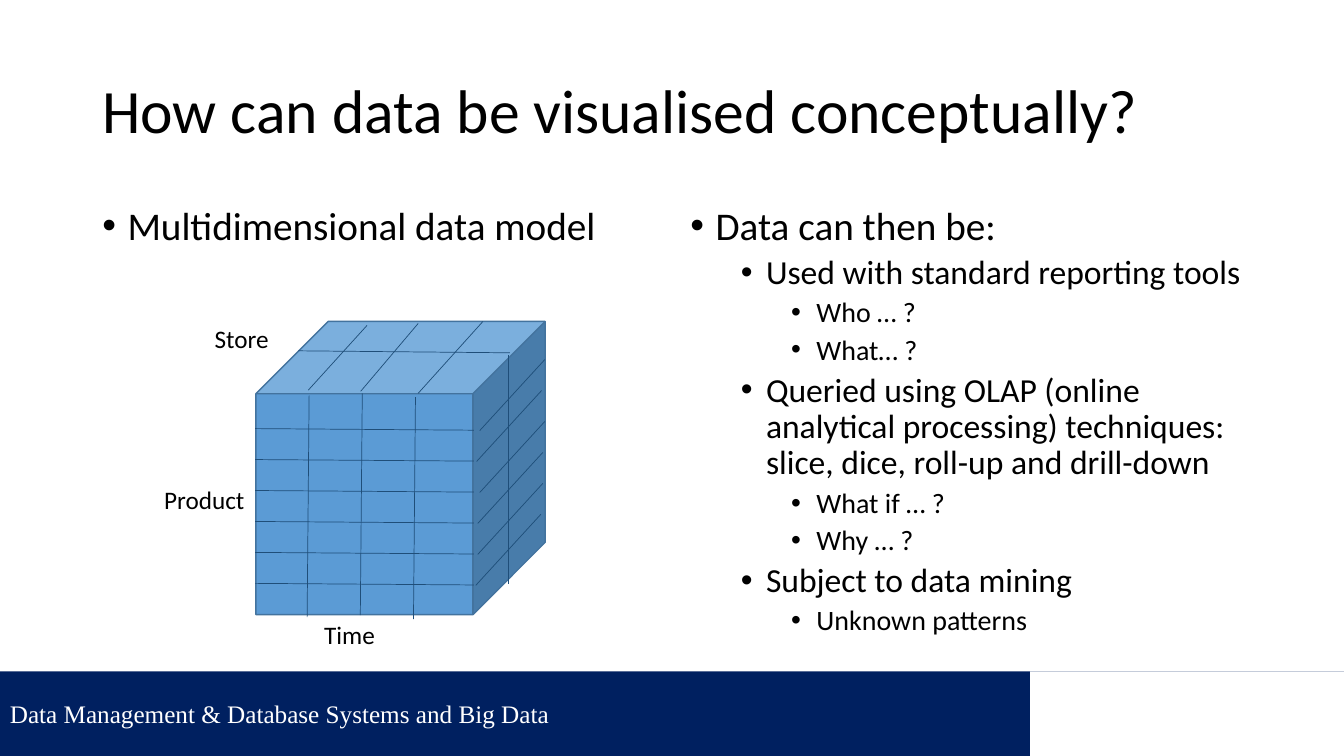
from dataclasses import dataclass

from lxml.etree import SubElement
from pptx import Presentation
from pptx.dml.color import RGBColor
from pptx.enum.shapes import MSO_CONNECTOR as Connector, MSO_SHAPE as Preset
from pptx.enum.text import MSO_ANCHOR as Anchor, PP_ALIGN as Align
from pptx.oxml.ns import qn
from pptx.util import Cm, Pt

COLOURS = {"navy": "002060", "white": "FFFFFF", "black": "000000",
           "cube": "5B9BD5", "edge": "43739E", "grid": "1F4E79"}
BULLET_SIZES = (28, 24, 20)
ROW_STEP = 0.78
COLUMN_STEP = 1.34


@dataclass
class Area:
    left: float
    top: float
    width: float
    height: float

    def lengths(self) -> tuple:
        return tuple(Cm(n) for n in (self.left, self.top, self.width, self.height))


@dataclass
class Line:
    x1: float
    y1: float
    x2: float
    y2: float


@dataclass
class Bullet:
    text: str
    level: int = 0


@dataclass
class Label:
    text: str
    area: Area


def colour(name: str) -> RGBColor:
    return RGBColor.from_string(COLOURS[name])


def apply_format(target, values: dict) -> None:
    for name, value in values.items():
        setattr(target, name, value)


def write(para, text: str, size: int, font: str = "Calibri", ink: str = "black") -> None:
    span = para.add_run()
    span.text = text
    apply_format(span.font, {"name": font, "size": Pt(size)})
    span.font.color.rgb = colour(ink)


def draw_shape(page, preset, area: Area, fill: str, edge: str = ""):
    shape = page.shapes.add_shape(preset, *area.lengths())
    shape.shadow.inherit = False
    shape.fill.solid()
    shape.fill.fore_color.rgb = colour(fill)
    if edge:
        shape.line.color.rgb = colour(edge)
        shape.line.width = Pt(1)
    else:
        shape.line.fill.background()
    return shape


def draw_line(page, line: Line) -> None:
    connector = page.shapes.add_connector(
        Connector.STRAIGHT, Cm(line.x1), Cm(line.y1), Cm(line.x2), Cm(line.y2))
    connector.line.color.rgb = colour("grid")
    connector.line.width = Pt(0.5)
    SubElement(connector._element.spPr, qn("a:effectLst"))


def add_text_frame(page, area: Area, wrap: bool = True, anchor=Anchor.TOP):
    frame = page.shapes.add_textbox(*area.lengths()).text_frame
    apply_format(frame, {"word_wrap": wrap, "vertical_anchor": anchor})
    return frame


def draw_bullets(page, area: Area, bullets: list[Bullet]) -> None:
    frame = add_text_frame(page, area)
    for index, bullet in enumerate(bullets):
        para = frame.add_paragraph() if index else frame.paragraphs[0]
        apply_format(para, {"level": bullet.level, "line_spacing": 0.9,
                            "space_before": Pt(5 if bullet.level else 10)})
        properties = para._p.get_or_add_pPr()
        properties.set("marL", str(Cm(0.635 + 1.27 * bullet.level)))
        properties.set("indent", str(Cm(-0.635)))
        SubElement(properties, qn("a:buFont"), typeface="Arial")
        SubElement(properties, qn("a:buChar"), char="•")
        write(para, bullet.text, BULLET_SIZES[bullet.level])


def cube_lines() -> list[Line]:
    """Grid lines on the front, right and top faces of the data cube."""
    side_starts = (12.09, 12.01, 12.09, 12.04, 12.04, 11.99)
    column_tops = (9.96, 9.91, 10.01)
    rows = [Line(6.43, y, 11.94, y + 0.04)
            for y in (10.8 + ROW_STEP * i for i in range(6))]
    sides = [Line(x, 10.85 + ROW_STEP * i, x + 1.64, 9.06 + ROW_STEP * i)
             for i, x in enumerate(side_starts)]
    columns = [Line(7.79 + COLUMN_STEP * i, y, 7.74 + COLUMN_STEP * i, y + 5.59)
               for i, y in enumerate(column_tops)]
    top = [Line(9.25, 8.2, 7.77, 9.83), Line(10.54, 8.15, 9.09, 9.86),
           Line(12.17, 8.1, 10.54, 9.91)]
    middles = [Line(12.85, 8.89, 7.52, 8.84), Line(12.8, 14.71, 12.8, 8.94)]
    return rows + sides + columns + top + middles


def draw_footer(page) -> None:
    band = draw_shape(page, Preset.RECTANGLE, Area(0, 16.92, 33.87, 2.13), "navy")
    band.text_frame.vertical_anchor = Anchor.MIDDLE
    para = band.text_frame.paragraphs[0]
    para.alignment = Align.LEFT
    write(para, "Data Management & Database Systems and Big Data", 18,
          "Times New Roman", "white")
    draw_shape(page, Preset.RECTANGLE, Area(25.96, 16.92, 7.91, 2.13), "white")


def draw_title(page) -> None:
    frame = add_text_frame(page, Area(2.33, 1.01, 29.21, 3.68), anchor=Anchor.MIDDLE)
    para = frame.paragraphs[0]
    para.line_spacing = 0.9
    write(para, "How can data be visualised conceptually?", 44)


def draw_cube(page) -> None:
    draw_shape(page, Preset.CUBE, Area(6.45, 8.1, 7.29, 7.39), "cube", "edge")
    labels = [Label("Product", Area(3.89, 12.09, 2.57, 1.02)),
              Label("Store", Area(5.16, 8.03, 1.88, 1.02)),
              Label("Time", Area(7.92, 15.49, 1.8, 1.02))]
    for label in labels:
        frame = add_text_frame(page, label.area, wrap=False)
        write(frame.paragraphs[0], label.text, 18)
    for line in cube_lines():
        draw_line(page, line)


def main() -> None:
    deck = Presentation()
    apply_format(deck, {"slide_width": Cm(33.87), "slide_height": Cm(19.05)})
    page = deck.slides.add_slide(deck.slide_layouts[6])
    draw_footer(page)
    draw_title(page)
    draw_bullets(page, Area(2.33, 5.07, 14.39, 12.09),
                 [Bullet("Multidimensional data model")])
    draw_bullets(page, Area(17.15, 5.07, 14.39, 12.09), [
        Bullet("Data can then be:"),
        Bullet("Used with standard reporting tools", 1),
        Bullet("Who … ?", 2),
        Bullet("What… ?", 2),
        Bullet("Queried using OLAP (online analytical processing) techniques: "
               "slice, dice, roll-up and drill-down", 1),
        Bullet("What if … ?", 2),
        Bullet("Why … ?", 2),
        Bullet("Subject to data mining", 1),
        Bullet("Unknown patterns", 2),
    ])
    draw_cube(page)
    deck.save("out.pptx")


if __name__ == "__main__":
    main()
